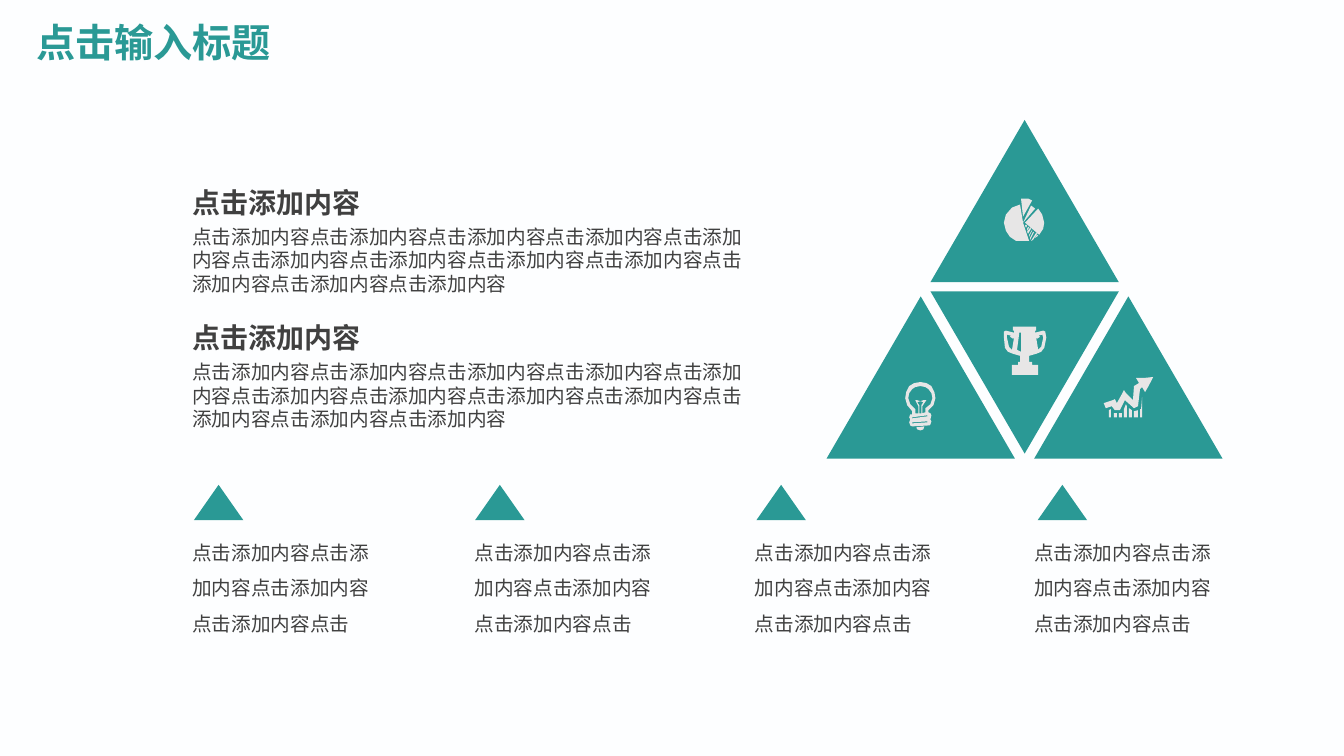
from pptx import Presentation
from pptx.dml.color import RGBColor
from pptx.enum.shapes import MSO_SHAPE
from pptx.enum.text import MSO_AUTO_SIZE
from pptx.util import Pt

BACKGROUND = RGBColor(0xFD, 0xFE, 0xFF)
TEAL = RGBColor(0x2A, 0x99, 0x95)
ICON_GRAY = RGBColor(0xE7, 0xE6, 0xE6)
TEXT_GRAY = RGBColor(0x40, 0x40, 0x40)

FONT = "Arial"
PHRASE = "点击添加内容"
ICON_UNIT = Pt(0.72)

TROPHY = [
    [(10, 4), (10, 6), (2, 4), (0, 5), (0, 11), (1, 21), (4, 25), (9, 27),
     (16, 29), (16, 35), (14, 35), (14, 38), (8, 38), (8, 48), (34, 48),
     (34, 38), (28, 38), (28, 35), (25, 35), (25, 29), (32, 27), (37, 25),
     (40, 21), (42, 11), (41, 5), (39, 4), (31, 6), (31, 4), (32, 4),
     (32, 0), (9, 0), (9, 4)],
    [(34, 23), (32, 11), (33, 12), (36, 10), (34, 9), (38, 8), (39, 11), (37, 20)],
    [(10, 11), (8, 23), (5, 20), (3, 11), (3, 8), (7, 9), (6, 10), (9, 12)],
    [(17, 6), (17, 25), (13, 23), (15, 8), (15, 6)],
]
PIE = [
    [(34, 10), (38, 16), (40, 24), (39, 30), (35, 36), (21, 24)],
    [(27, 7), (19, 24), (16, 6), (8, 9), (2, 16), (0, 24), (1.5, 32), (6, 38),
     (12, 41.5), (19, 42.5), (25, 42), (19, 24), (31, 10)],
    [(19, 0), (17, 0), (19, 18), (28, 2), (24, 0.5)],
    [(34, 37), (31, 39), (33, 36)],
    [(29, 41), (33, 35), (32, 34), (27, 42)],
    [(26, 41), (30, 33), (29, 33), (26, 39)],
    [(25, 38), (28, 32), (28, 31), (25, 36)],
    [(24, 35), (27, 30), (26, 29), (23, 33)],
    [(23, 32), (25, 29), (24, 28), (23, 30)],
    [(22, 29), (23, 27), (22, 26), (21, 27)],
]
GROWTH = [
    [(49, 0), (45, 8), (41, 15), (38, 10), (36, 12), (34, 29), (30, 31),
     (21, 23), (16, 33), (11, 33), (8, 29), (2, 31), (0, 26), (9, 23),
     (11, 22), (13, 26), (18, 17), (20, 13), (22, 16), (29, 23), (30, 9),
     (35, 6), (32, 1), (40, 1)],
    [(5, 40), (7, 40), (7, 32), (5, 33)],
    [(10, 40), (13, 40), (13, 36), (10, 36)],
    [(15, 40), (18, 40), (18, 36), (15, 36)],
    [(20, 40), (23, 40), (23, 29), (22, 27), (20, 32)],
    [(25, 40), (28, 40), (28, 33), (25, 31)],
    [(30, 40), (34, 40), (34, 33), (30, 34)],
    [(36, 40), (38, 40), (38, 20), (37, 32), (36, 32)],
]
BULB = [
    [(15, 0), (21, 1.2), (26, 4.5), (29, 10), (30, 16), (28, 23), (23, 28),
     (23, 30), (25, 31), (26, 33), (25, 37), (26, 39), (25, 42), (24, 43),
     (7, 44), (5, 43), (4, 40), (5, 37), (4, 35), (5, 32), (7, 32), (7, 29),
     (2, 23), (0, 16), (1.2, 10), (4.5, 4.5), (9, 1.2)],
    [(15, 4), (19.5, 5), (23, 7), (26, 11), (27, 16), (25, 22), (20, 26),
     (20, 30), (17, 31), (17, 24), (21, 18), (18, 18), (15, 19), (12, 18),
     (10, 18), (13, 24), (13, 31), (10, 31), (10, 27), (5, 22), (3, 16),
     (4, 11), (7, 7), (10.5, 5)],
    [(18, 20), (15, 19), (12, 20), (14, 23), (14, 31), (16, 31), (16, 23)],
    [(19, 44), (11, 45), (12, 47), (15, 48), (18, 47)],
    [(22, 39), (7, 40), (7, 41), (22, 40)],
    [(22, 33), (7, 35), (7, 36), (22, 34)],
]


def paint(shape, color):
    shape.shadow.inherit = False
    shape.fill.solid()
    shape.fill.fore_color.rgb = color
    shape.line.fill.background()


def add_triangle(slide, left, top, width, height, rotation=0):
    shape = slide.shapes.add_shape(
        MSO_SHAPE.ISOSCELES_TRIANGLE, Pt(left), Pt(top), Pt(width), Pt(height))
    shape.rotation = rotation
    paint(shape, TEAL)


def add_icon(slide, left, top, contours):
    builder = slide.shapes.build_freeform(*contours[0][0], scale=ICON_UNIT)
    for contour in contours:
        builder.move_to(*contour[0])
        builder.add_line_segments(contour[1:], close=True)
    paint(builder.convert_to_shape(Pt(left), Pt(top)), ICON_GRAY)


def add_text(slide, text, left, top, width, height, size,
             color=TEXT_GRAY, bold=False, wrap=True, line_spacing=None):
    box = slide.shapes.add_textbox(Pt(left), Pt(top), Pt(width), Pt(height))
    frame = box.text_frame
    frame.word_wrap = wrap
    frame.auto_size = MSO_AUTO_SIZE.SHAPE_TO_FIT_TEXT
    paragraph = frame.paragraphs[0]
    paragraph.line_spacing = line_spacing
    run = paragraph.add_run()
    run.text = text
    run.font.name = FONT
    run.font.size = Pt(size)
    run.font.bold = bold
    run.font.color.rgb = color


def add_section(slide, top):
    add_text(slide, PHRASE, 130.3, top, 135.4, 31.5, 20, bold=True, wrap=False)
    add_text(slide, PHRASE * 12, 130.3, top + 28.1, 417.6, 58.2, 14)


def add_pyramid(slide):
    pieces = [
        (664.6, 208.1, 180, 717.1, 233.3, TROPHY),
        (664.6, 85.7, 0, 717.1, 141.8, PIE),
        (738.7, 211.7, 0, 788.4, 269.3, GROWTH),
        (590.4, 211.7, 0, 646.6, 272.9, BULB),
    ]
    for left, top, rotation, icon_left, icon_top, contours in pieces:
        add_triangle(slide, left, top, 134.6, 115.9, rotation)
        add_icon(slide, icon_left, icon_top, contours)


def add_columns(slide):
    for index, text_left in enumerate((130.3, 331.9, 532.1, 731.5)):
        add_triangle(slide, 138.5 + index * 200.9, 346.3, 35.3, 25.2)
        add_text(slide, PHRASE * 4 + "点击", text_left, 374.4, 152.6, 80.6, 14,
                 line_spacing=1.5)


def main():
    presentation = Presentation()
    presentation.slide_width = Pt(960)
    presentation.slide_height = Pt(540)
    slide = presentation.slides.add_slide(presentation.slide_layouts[6])
    slide.background.fill.solid()
    slide.background.fill.fore_color.rgb = BACKGROUND
    add_text(slide, "点击输入标题", 18.7, 9.4, 184.3, 41.2, 28,
             color=TEAL, bold=True, wrap=False)
    for top in (128.9, 225.6):
        add_section(slide, top)
    add_pyramid(slide)
    add_columns(slide)
    presentation.save("out.pptx")


if __name__ == "__main__":
    main()
